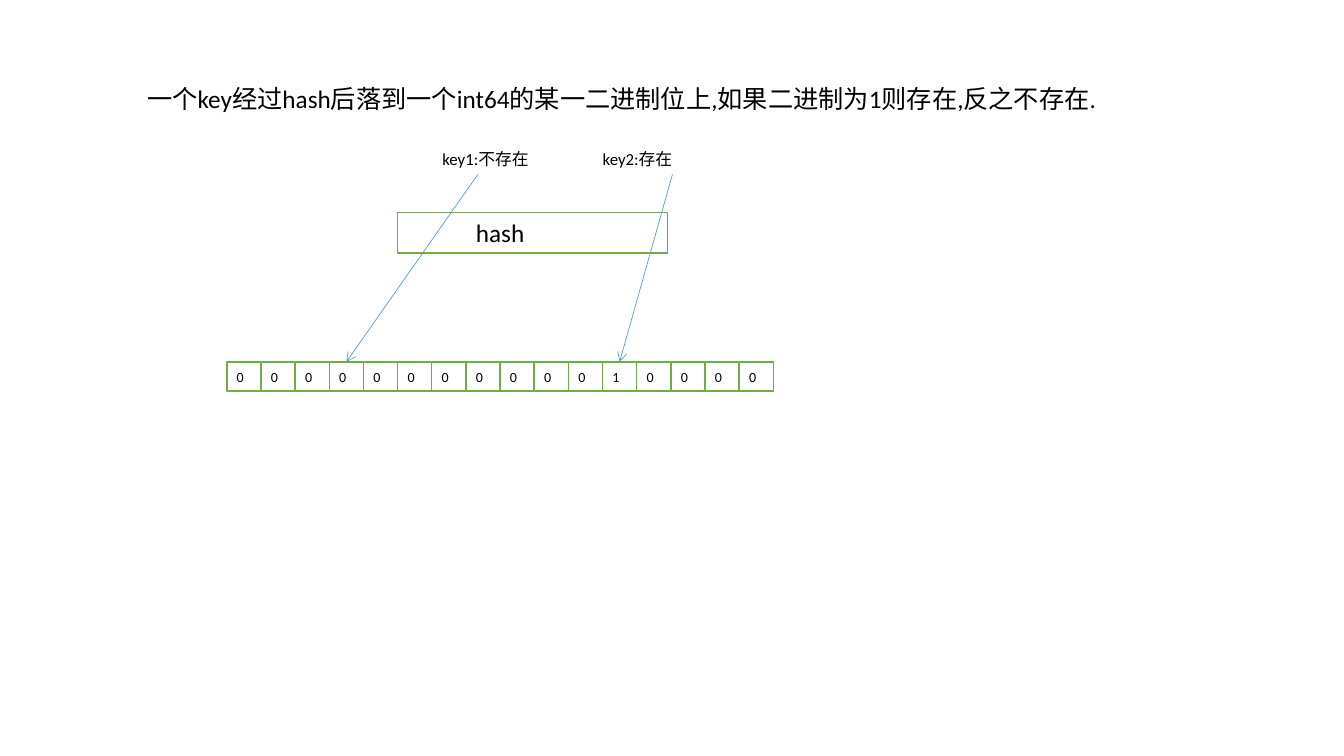
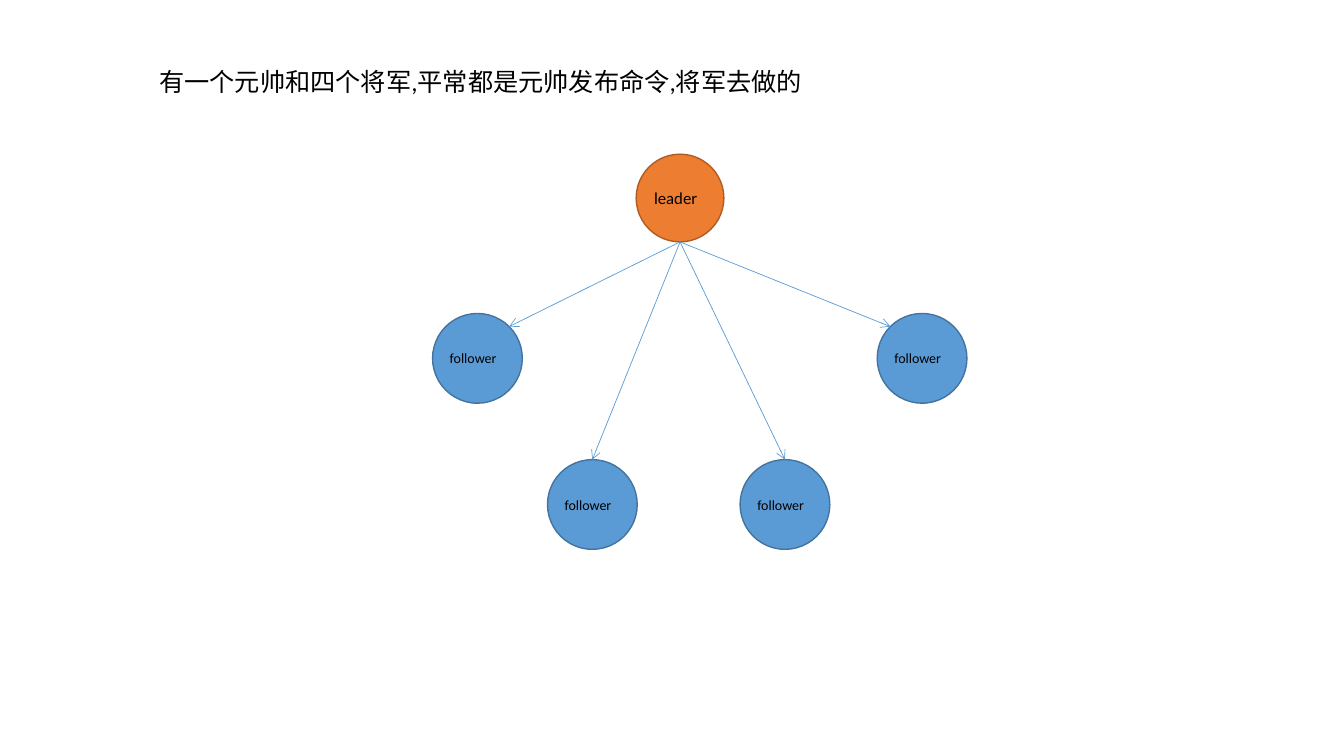
from math import sqrt
from lxml import etree
from pptx import Presentation
from pptx.dml.color import RGBColor
from pptx.enum.shapes import MSO_CONNECTOR, MSO_SHAPE
from pptx.enum.text import MSO_ANCHOR, MSO_AUTO_SIZE, PP_ALIGN
from pptx.oxml.ns import qn
from pptx.util import Inches, Pt

RECT = MSO_SHAPE.RECTANGLE
OVAL = MSO_SHAPE.OVAL
STRAIGHT = MSO_CONNECTOR.STRAIGHT
MIDDLE = MSO_ANCHOR.MIDDLE
LEFT = PP_ALIGN.LEFT
FIXED = MSO_AUTO_SIZE.NONE

BLACK = RGBColor(0x00, 0x00, 0x00)
WHITE = RGBColor(0xFF, 0xFF, 0xFF)
GREEN = RGBColor(0x70, 0xAD, 0x47)
BLUE = RGBColor(0x5B, 0x9B, 0xD5)
NAVY = RGBColor(0x43, 0x73, 0x9E)
ORANGE = RGBColor(0xED, 0x7D, 0x31)
RUST = RGBColor(0xAF, 0x5C, 0x24)
FONT = "Calibri"

BITS = "0000000000010000"
TOP = 0


def write(shape, text, size=18, inset=0.1):
    frame = shape.text_frame
    frame.auto_size = FIXED
    frame.word_wrap = True
    frame.vertical_anchor = MIDDLE
    frame.margin_left = Inches(inset)
    frame.margin_right = frame.margin_top = frame.margin_bottom = 0
    para = frame.paragraphs[0]
    para.alignment = LEFT
    run = para.add_run()
    run.text = text
    run.font.name = FONT
    run.font.size = Pt(size)
    run.font.color.rgb = BLACK


def place(shape, box):
    shape.left, shape.top, shape.width, shape.height = map(Inches, box)


def start(deck, text, box):
    slide = deck.slides.add_slide(deck.slide_layouts[5])
    place(slide.shapes.title, box)
    write(slide.shapes.title, text)
    return slide


def draw(slide, kind, box, fill, edge, text, size, inset):
    shape = slide.shapes.add_shape(kind, *map(Inches, box))
    shape.shadow.inherit = False
    shape.fill.solid()
    shape.fill.fore_color.rgb = fill
    shape.line.color.rgb = edge
    shape.line.width = Pt(1)
    write(shape, text, size, inset)
    return shape


def label(slide, text, box):
    write(slide.shapes.add_textbox(*map(Inches, box)), text, 12)


def arrow(slide, tail, head, target=None):
    line = slide.shapes.add_connector(STRAIGHT, *map(Inches, tail + head))
    line.line.color.rgb = BLUE
    line.line.width = Pt(0.5)
    props = line._element.spPr
    etree.SubElement(props.find(qn("a:ln")), qn("a:tailEnd"), type="arrow")
    etree.SubElement(props, qn("a:effectLst"))
    if target is not None:
        line.end_connect(target, TOP)


def array(slide, box):
    left, top, width, height = box
    step = width / len(BITS)
    return [
        draw(slide, RECT, (left + i * step, top, step, height),
             WHITE, GREEN, bit, 10, 0.1)
        for i, bit in enumerate(BITS)
    ]


def hashing(slide, box):
    left, top, width, height = box
    cells = array(slide, (left, top + height - 0.29, width, 0.29))
    draw(slide, RECT, (left + 1.69, top + 0.68, 2.68, 0.4),
         WHITE, GREEN, "hash", 18, 0.78)
    keys = (("key1:不存在", 2.04, 2.49, 3), ("key2:存在", 3.63, 4.42, 11))
    for text, x, tail, index in keys:
        label(slide, text, (left + x, top, 1.2, 0.3))
        arrow(slide, (left + tail, top + 0.3),
              (left + tail, top + height), cells[index])


def army(slide, box):
    left, top, width, height = box
    big, small = 0.87, 0.89
    x = left + 2.02
    draw(slide, OVAL, (x, top, big, big), ORANGE, RUST, "leader", 12, 0.05)
    base = (x + big / 2, top + big)
    near = small / 2 * (1 - 1 / sqrt(2))
    upper, lower = top + 1.58, top + height - small
    spots = (
        (left, upper, small - near, near),
        (left + 1.14, lower, None, None),
        (left + 3.05, lower, None, None),
        (left + width - small, upper, near, near),
    )
    for x, y, across, down in spots:
        node = draw(slide, OVAL, (x, y, small, small),
                    BLUE, NAVY, "follower", 10, 0.04)
        if across is None:
            arrow(slide, base, (x + small / 2, y), node)
        else:
            arrow(slide, base, (x + across, y + down))


def main():
    deck = Presentation()
    deck.slide_width = Inches(13.33)
    deck.slide_height = Inches(7.5)
    slide = start(
        deck,
        "一个key经过hash后落到一个int64的某一二进制位上,如果二进制为1则存在,反之不存在.",
        (1.36, 0.78, 10.8, 0.4),
    )
    hashing(slide, (2.25, 1.43, 5.42, 2.45))
    slide = start(
        deck,
        "有一个元帅和四个将军,平常都是元帅发布命令,将军去做的",
        (1.48, 0.61, 8.66, 0.4),
    )
    army(slide, (4.29, 1.53, 5.3, 3.92))
    deck.save("out.pptx")


if __name__ == "__main__":
    main()
